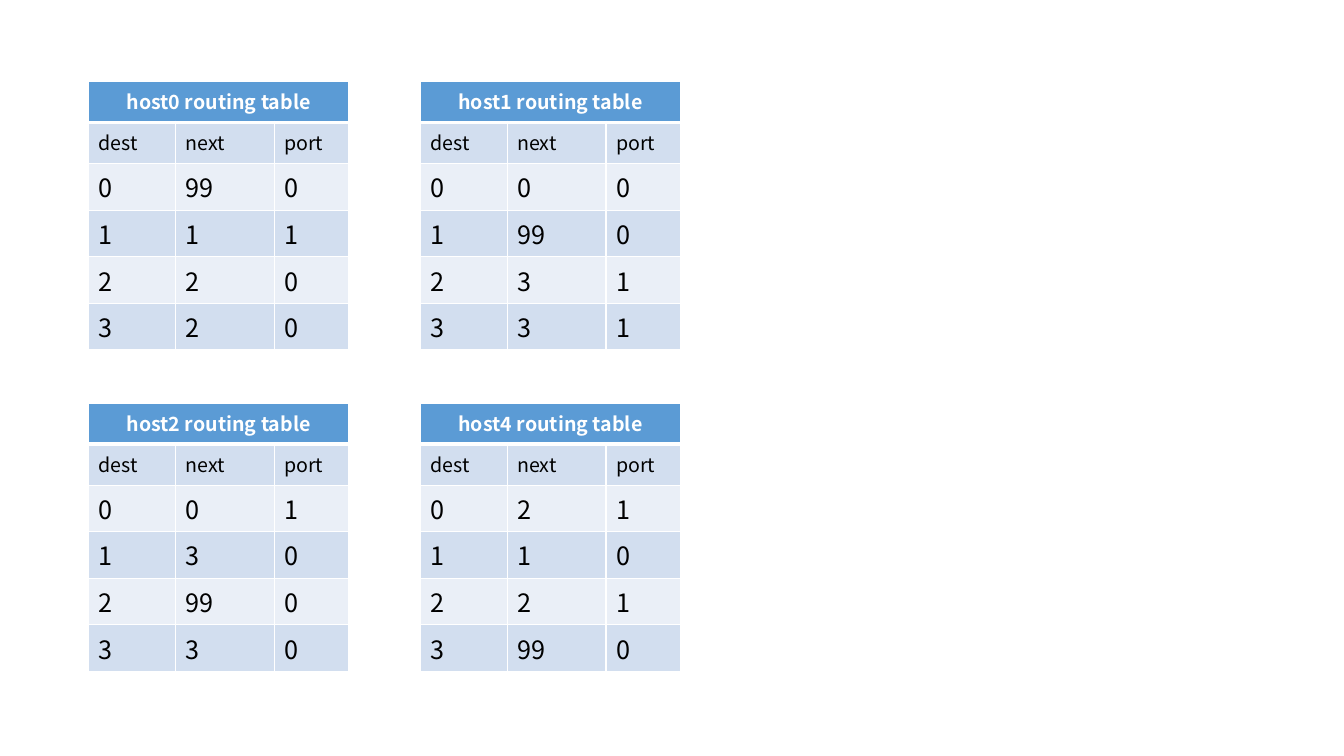
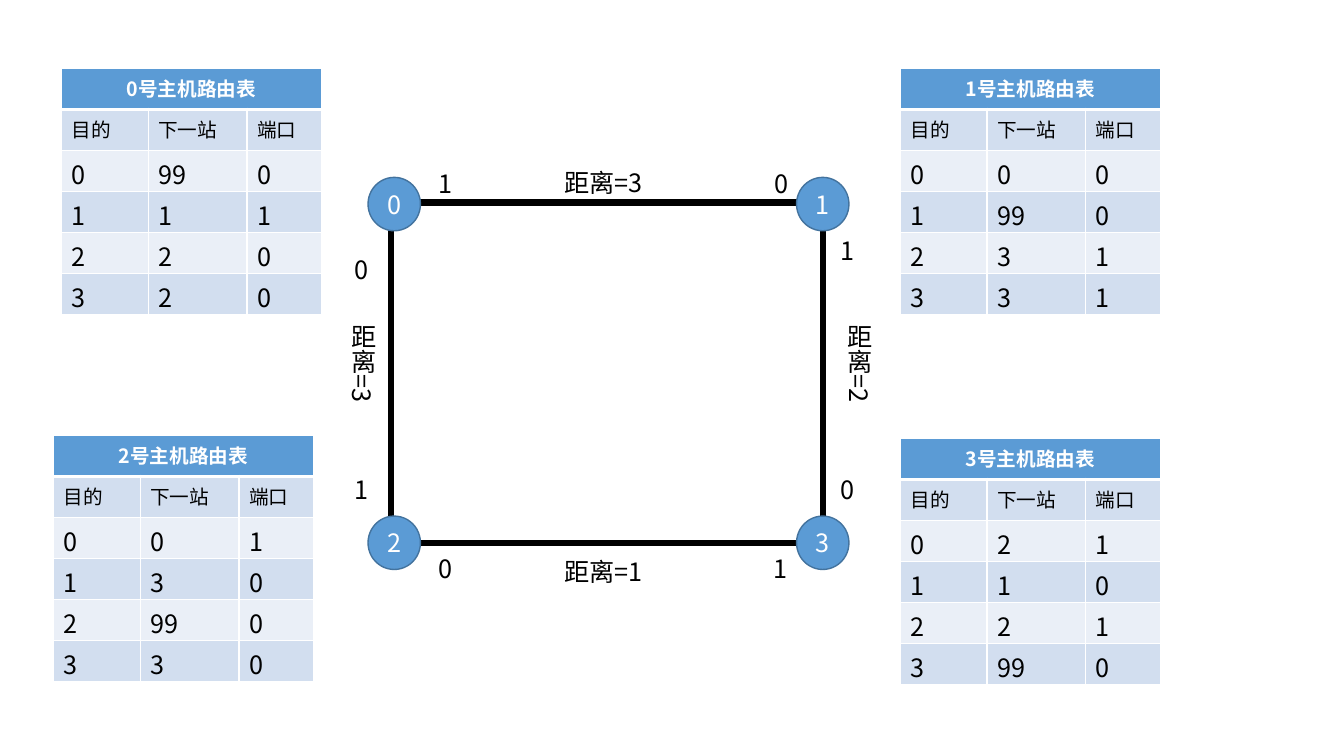
"""Builds two slides of routing tables, the second with the ring of hosts they describe."""
from lxml import etree
from pptx import Presentation
from pptx.dml.color import RGBColor
from pptx.enum.shapes import MSO_SHAPE
from pptx.enum.text import MSO_ANCHOR, MSO_AUTO_SIZE, PP_ALIGN
from pptx.oxml.ns import qn
from pptx.util import Inches, Pt

RECTANGLE, OVAL = MSO_SHAPE.RECTANGLE, MSO_SHAPE.OVAL
CENTER, LEFT = PP_ALIGN.CENTER, PP_ALIGN.LEFT
MIDDLE, GROW = MSO_ANCHOR.MIDDLE, MSO_AUTO_SIZE.SHAPE_TO_FIT_TEXT

FONT = "Noto Sans CJK SC"
WHITE, BLACK, BLUE, EDGE = "FFFFFF", "000000", "5B9BD5", "43739E"
BANDS = ["EAEFF7", "D2DEEF"]
COLUMN_WIDTHS = [0.86, 0.98, 0.74]
TABLE_HEIGHT = 2.44
ROUTES = [
    [("99", "0"), ("1", "1"), ("2", "0"), ("2", "0")],
    [("0", "0"), ("99", "0"), ("3", "1"), ("3", "1")],
    [("0", "1"), ("3", "0"), ("99", "0"), ("3", "0")],
    [("2", "1"), ("1", "0"), ("2", "1"), ("99", "0")],
]


def write(frame, text, size=18, color=BLACK, bold=False, align=LEFT):
    """Put one formatted run into the first paragraph of a text frame."""
    para = frame.paragraphs[0]
    para.alignment = align
    span = para.add_run()
    span.text = text
    span.font.size = Pt(size)
    span.font.bold = bold
    span.font.color.rgb = RGBColor.from_string(color)
    span.font.name = FONT
    etree.SubElement(span.font._element, qn("a:ea"), typeface=FONT)


def add_routing_table(page, left, top, title, headings, routes):
    """Add the routing table of one host."""
    rows = [[title, "", ""], headings]
    rows += [[str(host), *route] for host, route in enumerate(routes)]
    table = page.shapes.add_table(
        len(rows), len(headings), Inches(left), Inches(top),
        Inches(sum(COLUMN_WIDTHS)), Inches(TABLE_HEIGHT)).table
    for column, width in zip(table.columns, COLUMN_WIDTHS):
        column.width = Inches(width)
    table.cell(0, 0).merge(table.cell(0, len(headings) - 1))
    for row, texts in enumerate(rows):
        for column, text in enumerate(texts):
            cell = table.cell(row, column)
            properties = cell._tc.get_or_add_tcPr()
            for side in "LRTB":
                thick = (row, side) in [(0, "B"), (1, "T")]
                border = etree.SubElement(properties, qn("a:ln" + side), w=str(Pt(3 if thick else 1)))
                paint = etree.SubElement(border, qn("a:solidFill"))
                etree.SubElement(paint, qn("a:srgbClr"), val=WHITE)
            cell.fill.solid()
            cell.fill.fore_color.rgb = RGBColor.from_string(BANDS[row % 2] if row else BLUE)
            if row == 0 and text:
                write(cell.text_frame, text, 14, WHITE, True, CENTER)
            elif text:
                write(cell.text_frame, text, 14 if row == 1 else 18)


deck = Presentation()
deck.slide_width, deck.slide_height = Inches(13.33), Inches(7.5)
blank = deck.slide_layouts[6]

page = deck.slides.add_slide(blank)
for index, (host, routes) in enumerate(zip("0124", ROUTES)):
    row, column = divmod(index, 2)
    add_routing_table(page, 0.88 + 3.29 * column, 0.81 + 3.19 * row,
                      f"host{host} routing table", ["dest", "next", "port"], routes)

page = deck.slides.add_slide(blank)
ring = page.shapes.add_shape(RECTANGLE, Inches(3.88), Inches(2.01), Inches(4.28), Inches(3.38))
ring.shadow.inherit = False
ring.fill.solid()
ring.fill.fore_color.rgb = RGBColor.from_string(WHITE)
ring.line.color.rgb = RGBColor.from_string(BLACK)
ring.line.width = Pt(4.5)

for host in range(4):
    row, column = divmod(host, 2)
    node = page.shapes.add_shape(OVAL, Inches(3.65 + 4.25 * column), Inches(1.76 + 3.36 * row),
                                 Inches(0.52), Inches(0.53))
    node.shadow.inherit = False
    node.fill.solid()
    node.fill.fore_color.rgb = RGBColor.from_string(BLUE)
    node.line.color.rgb = RGBColor.from_string(EDGE)
    node.line.width = Pt(1)
    node.text_frame.vertical_anchor = MIDDLE
    write(node.text_frame, str(host), color=WHITE, align=CENTER)

PORT, ACROSS, DOWN = (0.38, 0.4), (1.31, 0.4), (0.5, 1.11)
labels = [
    ("0", 3.42, 2.47, PORT), ("1", 4.25, 1.62, PORT),
    ("0", 7.58, 1.62, PORT), ("1", 8.24, 2.29, PORT),
    ("1", 3.42, 4.66, PORT), ("0", 4.25, 5.44, PORT),
    ("1", 7.57, 5.44, PORT), ("0", 8.24, 4.66, PORT),
    ("距离=3", 5.5, 1.61, ACROSS), ("距离=1", 5.5, 5.47, ACROSS),
    ("距离=3", 3.3, 3.12, DOWN), ("距离=2", 8.22, 3.12, DOWN),
]
for text, left, top, size in labels:
    width, height = size
    box = page.shapes.add_textbox(Inches(left), Inches(top), Inches(width), Inches(height))
    box.text_frame.word_wrap = True
    box.text_frame.auto_size = GROW
    if size == DOWN:
        box.text_frame._txBody.bodyPr.set("vert", "eaVert")
    write(box.text_frame, text)

corners = [(0.61, 0.68), (8.93, 0.68), (0.53, 4.32), (8.93, 4.35)]
for host, ((left, top), routes) in enumerate(zip(corners, ROUTES)):
    add_routing_table(page, left, top, f"{host}号主机路由表", ["目的", "下一站", "端口"], routes)

deck.save("out.pptx")
